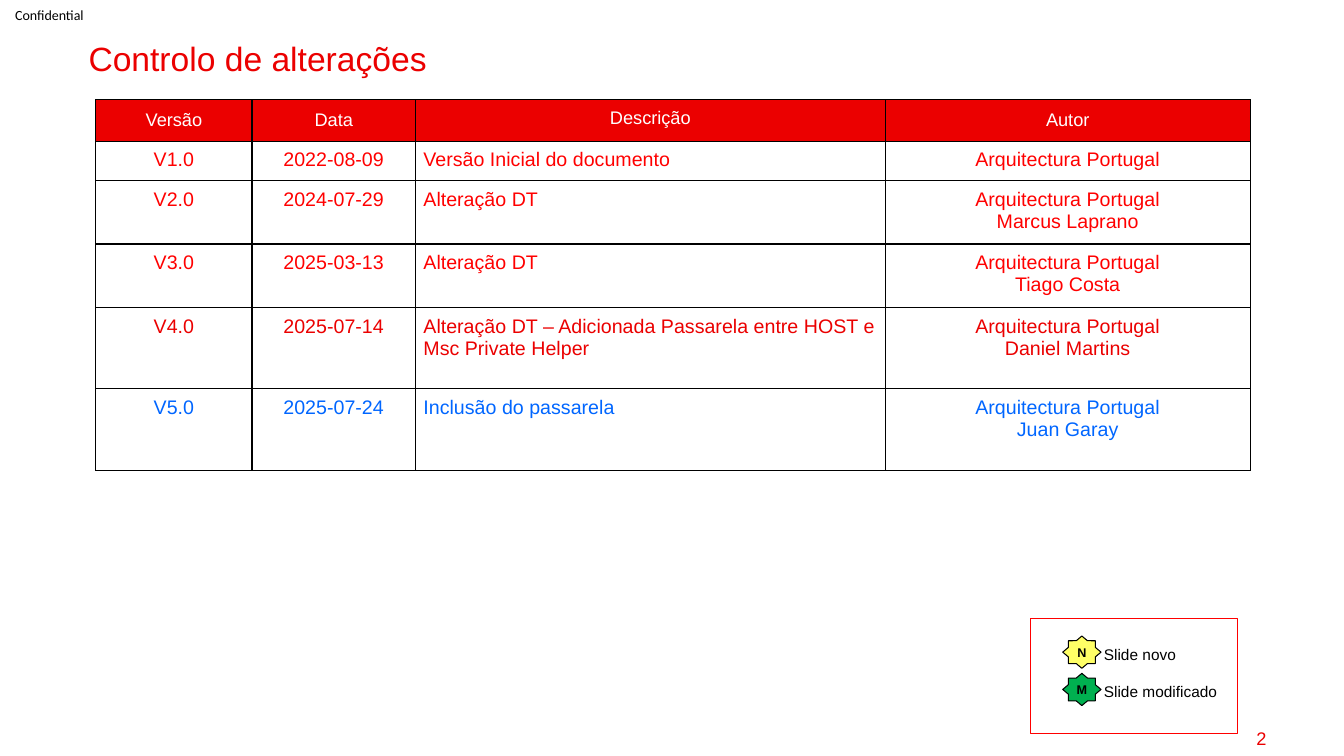
from copy import deepcopy

from lxml import etree
from pptx import Presentation
from pptx.dml.color import RGBColor
from pptx.enum import shapes, text
from pptx.oxml.ns import qn
from pptx.util import Inches, Pt

HUES = {"brand": "EB0000", "red": "FF0000", "blue": "0066FF", "black": "000000",
        "white": "FFFFFF", "green": "00B050", "yellow": "FFFF66"}
LEFT, MID, RIGHT = text.PP_ALIGN.LEFT, text.PP_ALIGN.CENTER, text.PP_ALIGN.RIGHT
TOP, CENTRE = text.MSO_ANCHOR.TOP, text.MSO_ANCHOR.MIDDLE

HEADS = ["Versão", "Data", "Descrição", "Autor"]
TEAM = "Arquitectura Portugal"
# Version, date, description, author, colour, row height
LOG = [
    ("V1.0", "2022-08-09", "Versão Inicial do documento", TEAM, "red", 0.38),
    ("V2.0", "2024-07-29", "Alteração DT", TEAM + "\vMarcus Laprano", "red", 0.6),
    ("V3.0", "2025-03-13", "Alteração DT", TEAM + "\vTiago Costa", "red", 0.6),
    ("V4.0", "2025-07-14",
     "Alteração DT – Adicionada Passarela entre HOST e Msc Private Helper",
     TEAM + "\vDaniel Martins", "brand", 0.81),
    ("V5.0", "2025-07-24", "Inclusão do passarela", TEAM + "\vJuan Garay", "blue", 0.81),
]
WIDTHS = [1.55, 1.62, 4.66, 3.62]


def rgb(name):
    return RGBColor.from_string(HUES[name])


def write(frame, words, size=14, hue="black", font="Arial", bold=False,
          align=LEFT, gap=0, lead=None):
    """Fill a text frame; each line of words is a paragraph, \\v breaks a line."""
    for i, line in enumerate(words.split("\n")):
        para = frame.add_paragraph() if i else frame.paragraphs[0]
        para.text = line
        para.alignment = align
        if i:
            para.space_before = Pt(gap)
        if lead:
            para.line_spacing = lead
        for run in para.runs:
            run.font.size, run.font.name, run.font.bold = Pt(size), font, bold
            run.font.color.rgb = rgb(hue)
        for brk in para._p.findall(qn("a:br")):
            brk.append(deepcopy(para.runs[0]._r.rPr))


def label(slide, box, words, anchor=TOP, inset=None, **style):
    frame = slide.shapes.add_textbox(*map(Inches, box)).text_frame
    frame.word_wrap = True
    frame.vertical_anchor = anchor
    if inset is not None:
        pad(frame, inset)
    write(frame, words, **style)


def pad(item, inset):
    item.margin_left = item.margin_right = Inches(inset)
    item.margin_top = item.margin_bottom = Inches(inset)


def shape(slide, kind, box, line, fill=None):
    item = slide.shapes.add_shape(kind, *map(Inches, box))
    item.shadow.inherit = False
    item.line.color.rgb, item.line.width = rgb(line), Pt(0.75)
    if fill:
        item.fill.solid()
        item.fill.fore_color.rgb = rgb(fill)
    else:
        item.fill.background()
    return item


def star(slide, top, mark, fill):
    item = shape(slide, shapes.MSO_SHAPE.STAR_8_POINT, (10.54, top, 0.38, 0.32),
                 "black", fill)
    item.adjustments[0] = 0.383
    frame = item.text_frame
    frame.word_wrap = False
    frame.vertical_anchor = CENTRE
    write(frame, mark, size=9, bold=True, align=MID)


def border(cell):
    props = cell._tc.get_or_add_tcPr()
    for i, side in enumerate(("lnL", "lnR", "lnT", "lnB")):
        edge = etree.Element(qn("a:" + side), w=str(Pt(1)))
        fill = etree.SubElement(edge, qn("a:solidFill"))
        etree.SubElement(fill, qn("a:srgbClr"), val=HUES["black"])
        props.insert(i, edge)


def fill_cell(cell, words, fill=None, anchor=TOP, **style):
    pad(cell, 0.08)
    cell.vertical_anchor = anchor
    if fill:
        cell.fill.solid()
        cell.fill.fore_color.rgb = rgb(fill)
    else:
        cell.fill.background()
    border(cell)
    write(cell.text_frame, words, **style)


def log_table(slide):
    highs = [0.41] + [entry[-1] for entry in LOG]
    box = (0.95, 0.99, sum(WIDTHS), sum(highs))
    table = slide.shapes.add_table(len(highs), len(WIDTHS), *map(Inches, box)).table
    table.first_row = table.horz_banding = False
    for col, width in zip(table.columns, WIDTHS):
        col.width = Inches(width)
    for row, high in zip(table.rows, highs):
        row.height = Inches(high)
    for c, head in enumerate(HEADS):
        fill_cell(table.cell(0, c), head, fill="brand", size=13, hue="white",
                  align=MID, anchor=TOP if c == 2 else CENTRE)
    for r, (*words, hue, _) in enumerate(LOG, 1):
        for c, word in enumerate(words):
            fill_cell(table.cell(r, c), word, hue=hue, align=LEFT if c == 2 else MID)


def legend(slide):
    shape(slide, shapes.MSO_SHAPE.RECTANGLE, (10.22, 6.14, 2.05, 1.14), "red")
    label(slide, (10.85, 6.35, 1.41, 0.66), "Slide novo\nSlide modificado",
          size=11, gap=13.5)
    star(slide, 6.68, "M", "green")
    star(slide, 6.31, "N", "yellow")


def main():
    deck = Presentation()
    deck.slide_width, deck.slide_height = Inches(13.33), Inches(7.5)
    slide = deck.slides.add_slide(deck.slide_layouts[6])
    label(slide, (0.15, 0, 0.84, 0.29), "Confidential", anchor=CENTRE, inset=0,
          size=10, font="Calibri")
    label(slide, (0.78, 0.37, 11.77, 0.33), "Controlo de alterações",
          size=24, hue="brand", lead=0.9)
    label(slide, (9.66, 7.14, 3, 0.36), "2", anchor=CENTRE, size=13, hue="brand",
          align=RIGHT)
    log_table(slide)
    legend(slide)
    deck.save("out.pptx")


if __name__ == "__main__":
    main()
